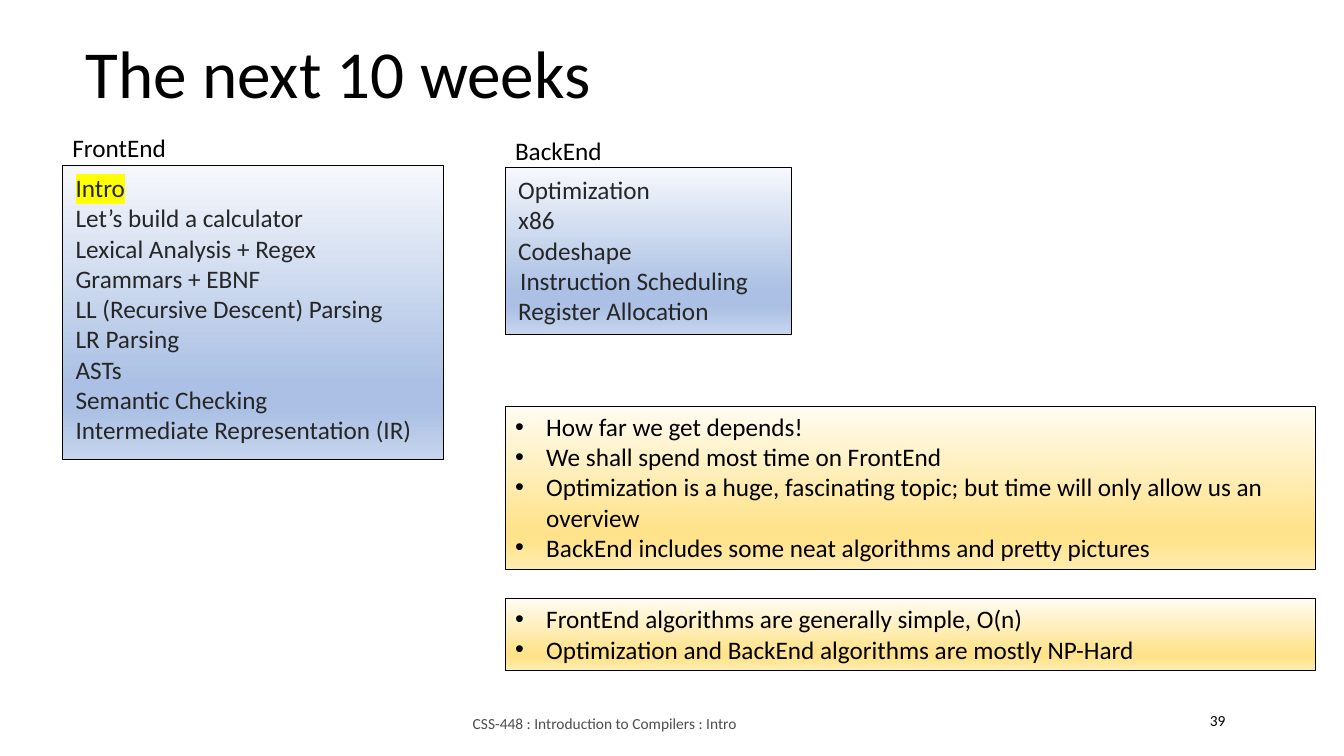
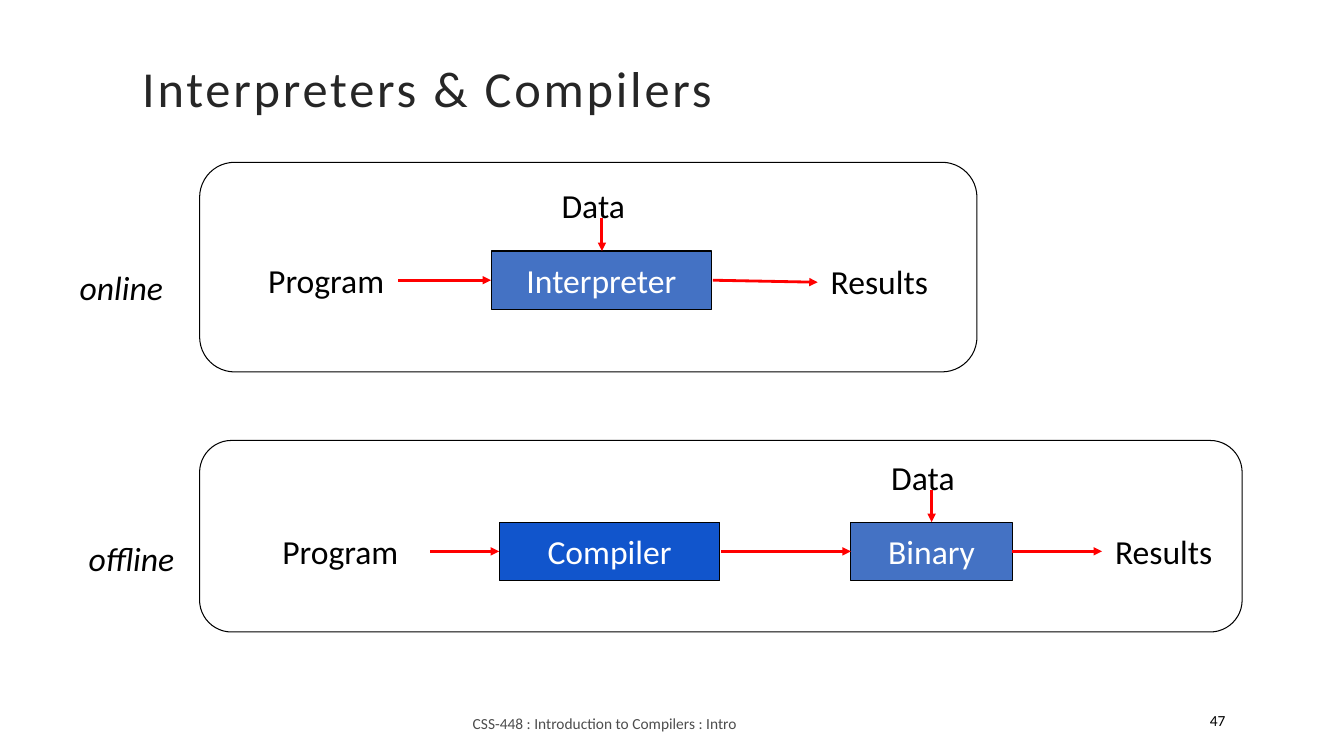
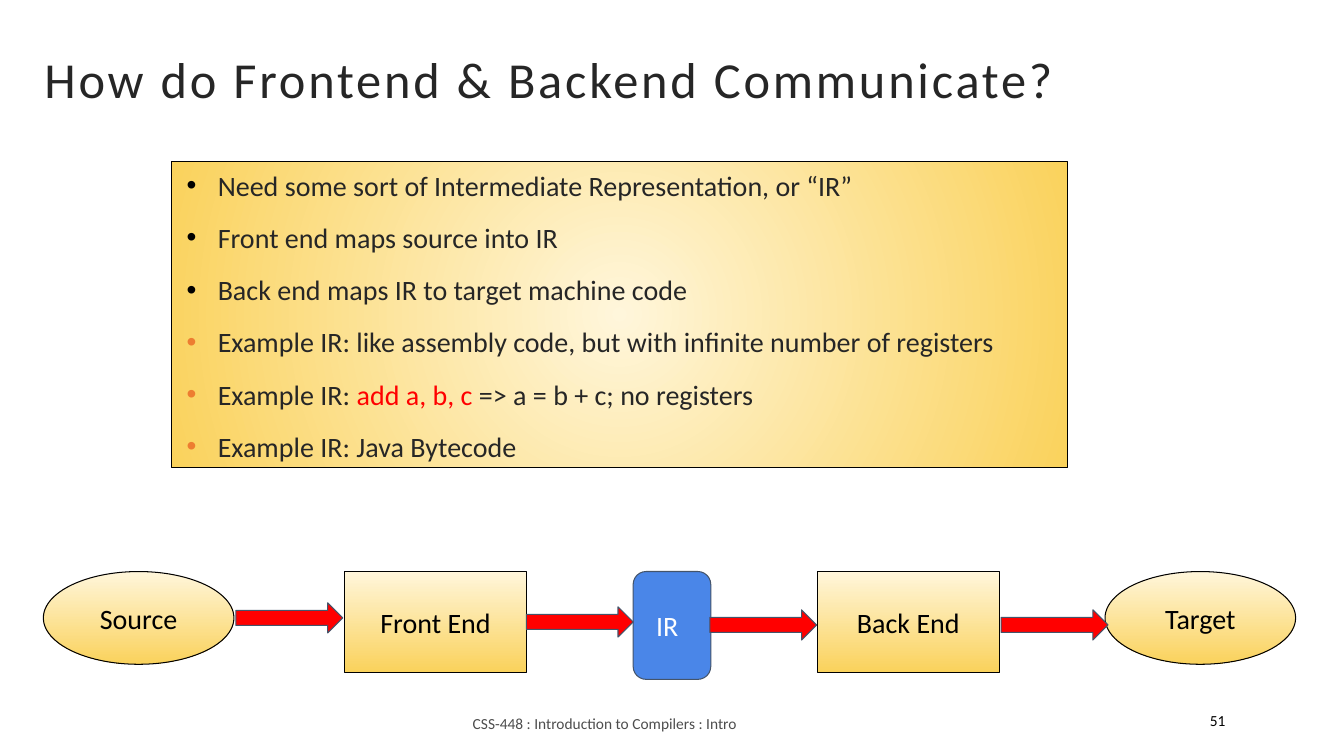
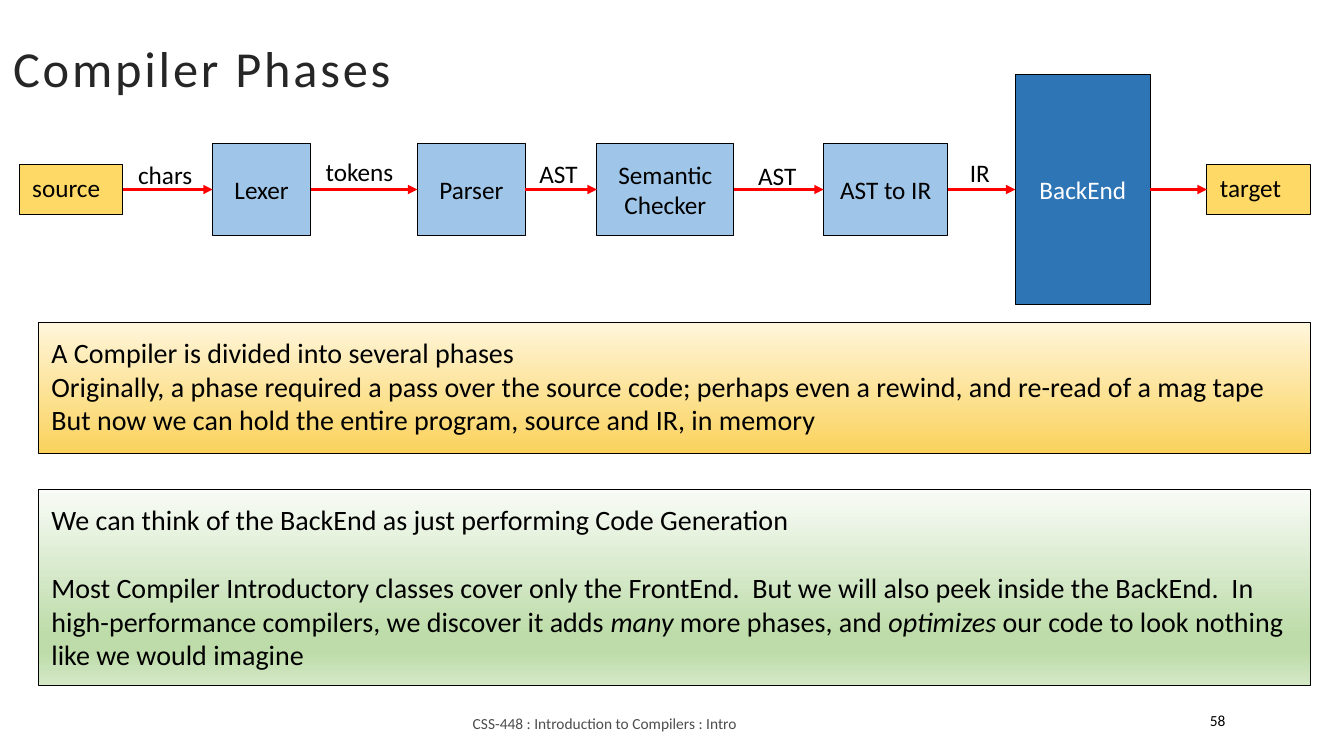
from lxml import etree
from pptx import Presentation
from pptx.dml.color import RGBColor
from pptx.enum.shapes import MSO_CONNECTOR, MSO_SHAPE
from pptx.enum.text import MSO_ANCHOR, PP_ALIGN
from pptx.oxml.ns import qn
from pptx.util import Inches, Pt

RECT, ELLIPSE = MSO_SHAPE.RECTANGLE, MSO_SHAPE.OVAL
ROUNDED, ARROW = MSO_SHAPE.ROUNDED_RECTANGLE, MSO_SHAPE.RIGHT_ARROW
ROUNDED_STEP = MSO_SHAPE.FLOWCHART_ALTERNATE_PROCESS
STRAIGHT = MSO_CONNECTOR.STRAIGHT
TOP, MIDDLE = MSO_ANCHOR.TOP, MSO_ANCHOR.MIDDLE
LEFT, CENTER = PP_ALIGN.LEFT, PP_ALIGN.CENTER

FONT = "Calibri"
COLORS = {
    "black": "000000", "white": "FFFFFF", "ink": "262626", "footer": "4D4D4D",
    "red": "FF0000", "orange": "ED7D31", "yellow": "FFFF00", "slate": "44546A",
    "blue": "4472C4", "deep blue": "1155CC", "bright blue": "4A86E8",
    "sky": "9FC5E8", "steel": "2E75B6", "gold": "FFD966",
}
# Gradient name: (position in percent, colour)
GRADIENTS = {
    "blue fade": [(0, "F6F8FC"), (74, "ABC0E4"), (83, "ABC0E4"), (100, "C7D5ED")],
    "yellow fade": [(0, "FFFCF2"), (74, "FFE38C"), (83, "FFE38C"), (100, "FFECB2")],
    "green fade": [(0, "F8FBF6"), (74, "BEDCAA"), (83, "BEDCAA"), (100, "D4E8C6")],
    "gold fade": [(0, "FFF6DB"), (100, "FAD25C")],
    "gold glow": [(0, "FFF6DB"), (100, "FAD25C")],
}
RADIAL = {"gold glow"}
WIDE = (0.13, 0.07)    # insets: sides, top and bottom
NARROW = (0.1, 0.05)
DEEP = (0.13, 0.13)

# ---- Content ----
FOOTER = "CSS-448 : Introduction to Compilers : Intro"

# Heading, heading place, list place, topics
COURSE_PARTS = [
    ("FrontEnd", (0.62, 1.26, 2.68, 0.4), (0.62, 1.64, 3.78, 2.92), [
        [("Intro", {"highlight": "yellow"})],
        "Let’s build a calculator",
        "Lexical Analysis + Regex",
        "Grammars + EBNF",
        "LL (Recursive Descent) Parsing",
        "LR Parsing",
        "ASTs",
        "Semantic Checking",
        "Intermediate Representation (IR)",
    ]),
    ("BackEnd", (5.01, 1.29, 2.68, 0.4), (5.01, 1.66, 2.84, 1.66), [
        "Optimization",
        "x86",
        "Codeshape",
        {"runs": "Instruction Scheduling", "indent": (0.02, 0)},
        "Register Allocation",
    ]),
]
COURSE_NOTES = [
    ((5.01, 4.03, 8.04, 1.62), [
        "How far we get depends!",
        "We shall spend most time on FrontEnd",
        "Optimization is a huge, fascinating topic; but time will only allow us an overview",
        "BackEnd includes some neat algorithms and pretty pictures",
    ]),
    ((5.01, 5.94, 8.04, 0.71), [
        "FrontEnd algorithms are generally simple, O(n)",
        "Optimization and BackEnd algorithms are mostly NP-Hard",
    ]),
]

RUN_MODES = [
    {
        "frame": (1.98, 1.61, 7.71, 2.08),
        "mode": ("online", 0.66, 2.58),
        "data": (5.44, 1.76),
        "ends": [("Program", 2.53, 2.58, 1.42), ("Results", 8.11, 2.59, 1.67)],
        "steps": [("Interpreter", 4.87, 2.49, 2.19, "blue")],
        "arrows": [(3.95, 2.78, 4.87, 2.78), (7.07, 2.78, 8.11, 2.8),
                   (5.97, 2.16, 5.97, 2.49)],
    },
    {
        "frame": (1.98, 4.37, 10.34, 1.9),
        "mode": ("offline", 0.75, 5.27),
        "data": (8.71, 4.46),
        "ends": [("Program", 2.67, 5.27, 1.6), ("Results", 10.93, 5.27, 1.67)],
        "steps": [("Compiler", 4.95, 5.18, 2.19, "deep blue"),
                  ("Binary", 8.44, 5.18, 1.6, "blue")],
        "arrows": [(4.27, 5.47, 4.95, 5.47), (7.15, 5.47, 8.44, 5.47),
                   (10.04, 5.47, 10.93, 5.47), (9.24, 4.86, 9.24, 5.18)],
    },
]

# Bullet colour, text
IR_POINTS = [
    ("black", "Need some sort of Intermediate Representation, or “IR”"),
    ("black", "Front end maps source into IR"),
    ("black", "Back end maps IR to target machine code"),
    ("orange", "Example IR: like assembly code, but with infinite number of registers"),
    ("orange", [("Example IR: ", {}), ("add a, b, c", {"color": "red"}),
                (" => a = b + c; no registers", {})]),
    ("orange", "Example IR: Java Bytecode"),
]
IR_NODES = [
    ("Source", ELLIPSE, 0.43, 1.89, 0.92),
    ("Front End", RECT, 3.42, 1.8, 1),
    ("Back End", RECT, 8.11, 1.8, 1),
    ("Target", ELLIPSE, 10.96, 1.89, 0.92),
]
IR_ARROWS = [(2.34, 5.98), (5.22, 6.02), (7.04, 6.05), (9.93, 6.05)]

# Lines, left, width, height, fill, text colour
PHASES = [
    (["source"], 0.19, 1.03, 0.49, "gold", "black"),
    (["Lexer"], 2.11, 0.97, 0.92, "sky", "black"),
    (["Parser"], 4.14, 1.07, 0.92, "sky", "black"),
    (["Semantic", "Checker"], 5.92, 1.36, 0.92, "sky", "black"),
    (["AST to IR"], 8.17, 1.23, 0.92, "sky", "black"),
    (["BackEnd"], 10.07, 1.34, 2.28, "steel", "white"),
    (["target"], 11.97, 1.03, 0.49, "gold", "black"),
]
PHASE_AXIS = 1.88
HANDOVERS = [("chars", 1.24, 1.51), ("tokens", 3.1, 1.48), ("AST", 5.22, 1.5),
             ("AST", 7.39, 1.52), ("IR", 9.49, 1.49)]
PHASE_NOTES = [
    ((0.38, 3.2, 12.62, 1.3), "gold fade", [
        "A Compiler is divided into several phases",
        "Originally, a phase required a pass over the source code; perhaps even a "
        "rewind, and re-read of a mag tape",
        "But now we can hold the entire program, source and IR, in memory",
    ]),
    ((0.38, 4.86, 12.62, 1.94), "green fade", [
        "We can think of the BackEnd as just performing Code Generation",
        {"before": 24.4, "runs": [
            ("Most Compiler Introductory classes cover only the FrontEnd.  But we will "
             "also peek inside the BackEnd.  In high-performance compilers, we discover "
             "it adds ", {}),
            ("many ", {"italic": True}),
            ("more phases, and ", {}),
            ("optimizes ", {"italic": True}),
            ("our code to look nothing like we would imagine", {}),
        ]},
    ]),
]


# ---- Drawing helpers ----
def rgb(name):
    return RGBColor.from_string(COLORS[name])


def add_color(parent, tag, value):
    """Append a colour-holding element to parent."""
    holder = etree.SubElement(parent, qn(tag))
    etree.SubElement(holder, qn("a:srgbClr"), val=value)
    return holder


def add_span(para, text, size, color, italic=False, highlight=None, tracking=None):
    span = para.add_run()
    span.text = text
    font = span.font
    font.size, font.name, font.italic = Pt(size), FONT, italic
    font.color.rgb = rgb(color)
    props = font._element
    if tracking:
        props.set("spc", str(tracking * 100))
    if highlight:
        mark = add_color(props, "a:highlight", COLORS[highlight])
        props.find(qn("a:solidFill")).addnext(mark)


def set_indent(para, indent, bullet):
    props = para._p.get_or_add_pPr()
    props.set("marL", str(Inches(indent[0])))
    props.set("indent", str(Inches(indent[1])))
    if bullet:
        add_color(props, "a:buClr", COLORS[bullet])
        etree.SubElement(props, qn("a:buFont"), typeface="Arial")
        etree.SubElement(props, qn("a:buChar"), char="•")


def write(shape, paras, size, color="black", anchor=TOP, align=LEFT, insets=WIDE,
          spacing=None, **style):
    """Fill a shape with paragraphs: strings, span lists or dicts with layout."""
    frame = shape.text_frame
    frame.word_wrap, frame.vertical_anchor = True, anchor
    frame.margin_left = frame.margin_right = Inches(insets[0])
    frame.margin_top = frame.margin_bottom = Inches(insets[1])
    for number, item in enumerate(paras):
        para = frame.add_paragraph() if number else frame.paragraphs[0]
        layout = item if isinstance(item, dict) else {"runs": item}
        if "indent" in layout:
            set_indent(para, layout["indent"], layout.get("bullet"))
        para.alignment = align
        if spacing:
            para.line_spacing = spacing
        if "before" in layout:
            para.space_before = Pt(layout["before"])
        runs = layout["runs"]
        for text, change in [(runs, {})] if isinstance(runs, str) else runs:
            add_span(para, text, **{"size": size, "color": color, **style, **change})


def add_label(page, place, text, size, **options):
    box = page.shapes.add_textbox(*map(Inches, place))
    write(box, [text], size, **options)
    return box


def fill_gradient(shape, name):
    shape.fill.gradient()
    grad = shape._element.spPr.find(qn("a:gradFill"))
    for child in list(grad):
        grad.remove(child)
    stops = etree.SubElement(grad, qn("a:gsLst"))
    for position, value in GRADIENTS[name]:
        add_color(stops, "a:gs", value).set("pos", str(position * 1000))
    if name in RADIAL:
        ring = etree.SubElement(grad, qn("a:path"))
        ring.set("path", "circle")
        etree.SubElement(ring, qn("a:fillToRect"), l="50000", t="50000",
                         r="50000", b="50000")
    else:
        etree.SubElement(grad, qn("a:lin"), ang="5400000", scaled="0")


def add_box(page, place, fill=None, kind=RECT, line="black"):
    box = page.shapes.add_shape(kind, *map(Inches, place))
    box.shadow.inherit = False
    box.line.color.rgb, box.line.width = rgb(line), Pt(0.75)
    if fill in GRADIENTS:
        fill_gradient(box, fill)
    elif fill:
        box.fill.solid()
        box.fill.fore_color.rgb = rgb(fill)
    else:
        box.fill.background()
    return box


def add_arrow(page, ends, width):
    arrow = page.shapes.add_connector(STRAIGHT, *map(Inches, ends))
    arrow.line.color.rgb, arrow.line.width = rgb("red"), Pt(width)
    etree.SubElement(arrow.line._get_or_add_ln(), qn("a:tailEnd"), type="triangle")
    etree.SubElement(arrow._element.spPr, qn("a:effectLst"))


def add_page(deck, number):
    page = deck.slides.add_slide(deck.slide_layouts[6])
    add_label(page, (4.59, 7, 4.15, 0.35), FOOTER, 11, color="footer",
              anchor=MIDDLE, insets=NARROW)
    add_label(page, (11.9, 7.01, 0.62, 0.28), str(number), 11, insets=NARROW)
    return page


def add_title(page, place, text):
    add_label(page, place, text, 36, color="ink", anchor=MIDDLE, spacing=0.9, tracking=2)


# ---- Slides ----
def build_weeks(deck):
    page = add_page(deck, 39)
    add_label(page, (0.72, 0.24, 10.18, 0.9), "The next 10 weeks", 48)
    for heading, heading_place, place, topics in COURSE_PARTS:
        write(add_box(page, place, "blue fade"), topics, 18, "ink")
        add_label(page, heading_place, heading, 18, insets=NARROW)
    for place, notes in COURSE_NOTES:
        bullets = [{"runs": note, "indent": (0.31, -0.31), "bullet": "black"}
                   for note in notes]
        write(add_box(page, place, "yellow fade"), bullets, 18, insets=NARROW)


def build_run_modes(deck):
    page = add_page(deck, 47)
    add_title(page, (1.28, 0.4, 10.22, 1.01), "Interpreters & Compilers")
    for scene in RUN_MODES:
        add_box(page, scene["frame"], kind=ROUNDED).adjustments[0] = 0.167
        mode, left, top = scene["mode"]
        add_label(page, (left, top, 1.29, 0.4), mode, 24, italic=True)
        add_label(page, (*scene["data"], 1.06, 0.4), "Data", 24)
        for text, left, top, width in scene["ends"]:
            add_label(page, (left, top, width, 0.4), text, 24, anchor=MIDDLE)
        for text, left, top, width, fill in scene["steps"]:
            step = add_box(page, (left, top, width, 0.58), fill)
            write(step, [text], 24, "white", MIDDLE, CENTER)
        for ends in scene["arrows"]:
            add_arrow(page, ends, 2)


def build_communication(deck):
    page = add_page(deck, 51)
    add_title(page, (0.31, 0.38, 11.68, 0.88), "How do Frontend & Backend Communicate?")
    points = [{"runs": runs, "indent": (0.33, -0.31), "bullet": bullet,
               "before": 13.3 if number else 0}
              for number, (bullet, runs) in enumerate(IR_POINTS)]
    write(add_box(page, (1.7, 1.6, 8.89, 3.04), "gold glow"), points, 20, "ink")
    for text, kind, left, width, height in IR_NODES:
        node = add_box(page, (left, 5.67, width, height), "gold fade", kind)
        write(node, [text], 20, anchor=MIDDLE, align=CENTER)
    store = add_box(page, (6.28, 5.67, 0.77, 1.07), "bright blue", ROUNDED_STEP, "slate")
    write(store, [{"runs": "IR", "indent": (0.06, 0)}], 20, "white", MIDDLE, insets=DEEP)
    for left, top in IR_ARROWS:
        add_box(page, (left, top, 1.06, 0.3), "red", ARROW, "slate")


def build_phases(deck):
    page = add_page(deck, 58)
    add_title(page, (0, 0.34, 11.5, 0.73), "Compiler Phases")
    for lines, left, width, height, fill, color in PHASES:
        phase = add_box(page, (left, PHASE_AXIS - height / 2, width, height), fill)
        is_end = fill == "gold"
        write(phase, lines, 18, color, TOP if is_end else MIDDLE,
              LEFT if is_end else CENTER)
    for (_, left, width, *_), (_, target, *_) in zip(PHASES, PHASES[1:]):
        add_arrow(page, (left + width, PHASE_AXIS, target, PHASE_AXIS), 2.25)
    for text, left, top in HANDOVERS:
        add_label(page, (left, top, 1.03, 0.49), text, 18)
    for place, fill, notes in PHASE_NOTES:
        write(add_box(page, place, fill), notes, 20, insets=DEEP)


def main():
    deck = Presentation()
    deck.slide_width, deck.slide_height = Inches(13.33), Inches(7.5)
    for build in (build_weeks, build_run_modes, build_communication, build_phases):
        build(deck)
    deck.save("out.pptx")


if __name__ == "__main__":
    main()
